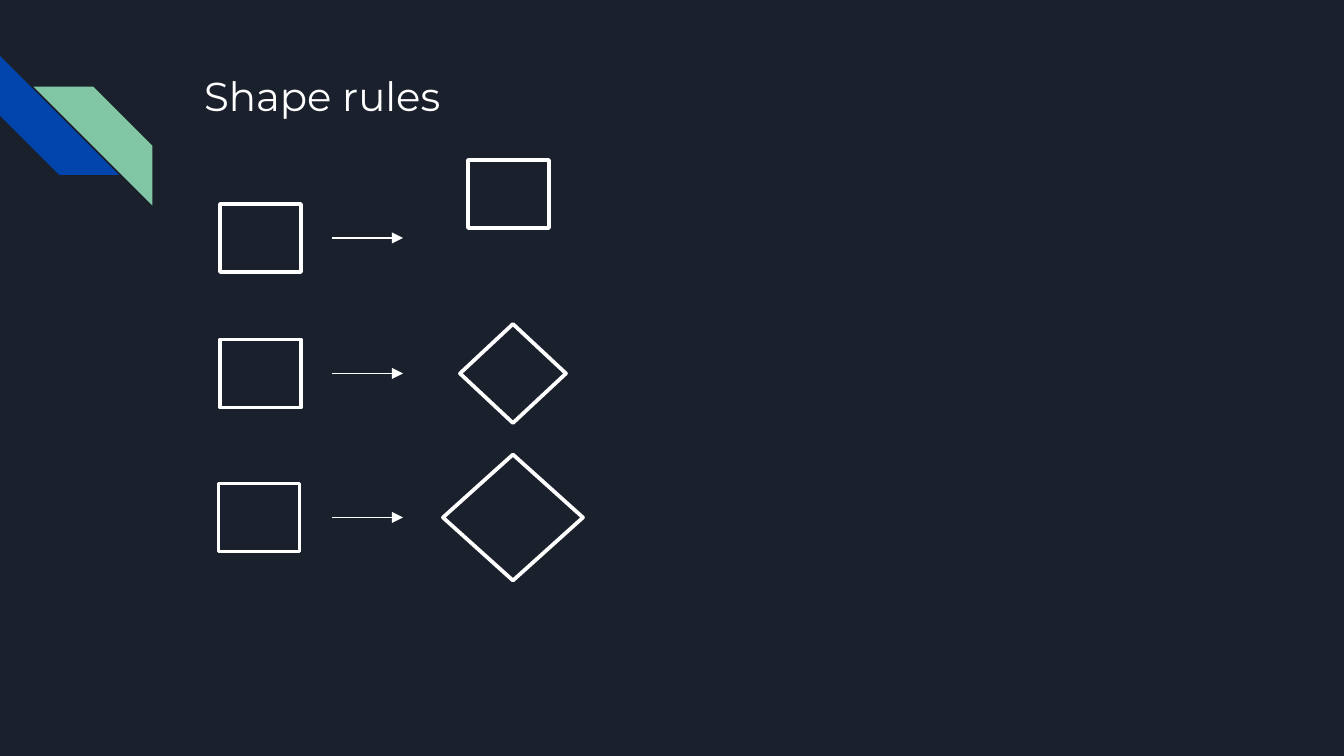
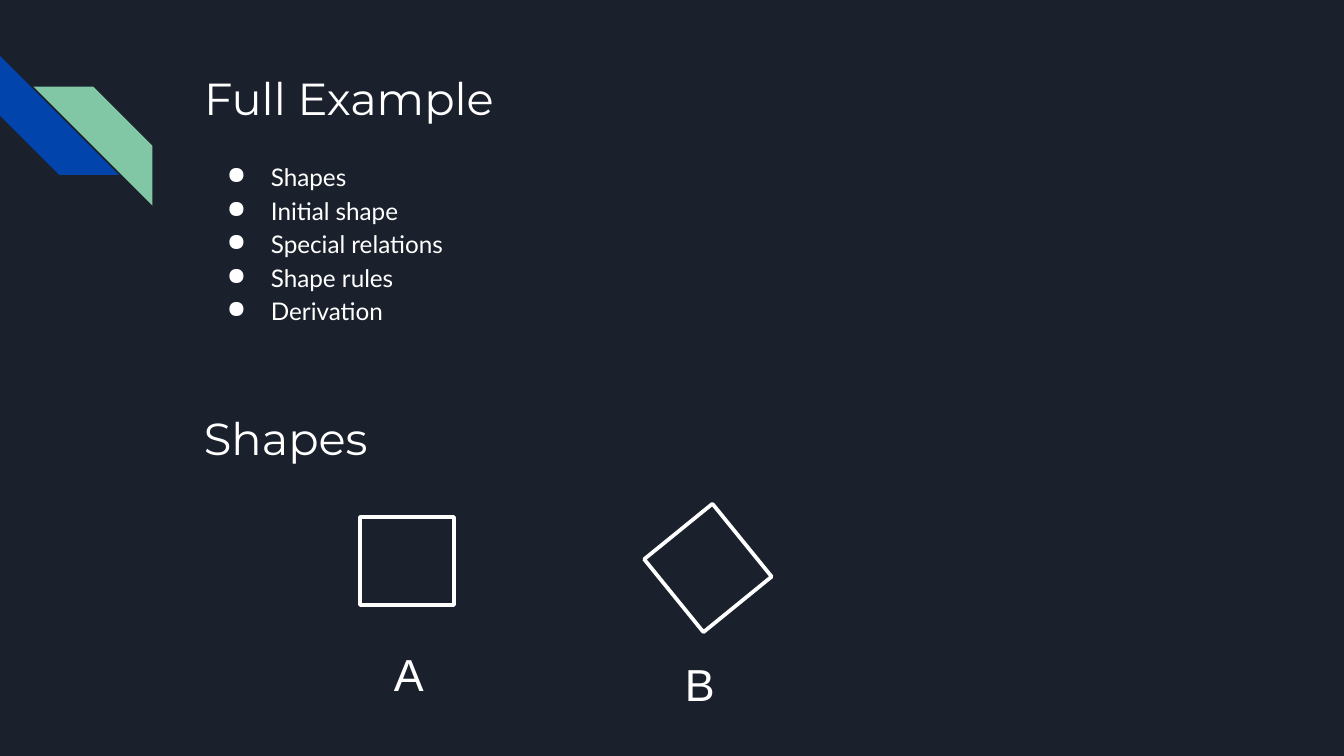
import pptx
import pptx.util
import pptx.dml.color
import pptx.enum.shapes
import pptx.enum.text
import pptx.oxml
import pptx.oxml.ns
from dataclasses import dataclass

SHAPES = pptx.enum.shapes.MSO_SHAPE
TEXT = pptx.enum.text
PIXELS_PER_INCH = 134.4


@dataclass(frozen=True)
class Theme:
    night: str = "1B212C"
    white: str = "FFFFFF"
    blue: str = "0145AC"
    green: str = "82C7A5"
    heading_font: str = "Montserrat"
    body_font: str = "Lato"
    label_font: str = "Arial"
    heading_size: float = 24
    compact_heading_size: float = 21.6
    body_size: float = 13
    label_size: float = 24
    outline: float = 2
    arrow: float = 0.75


THEME = Theme()
COLUMN_LEFT, COLUMN_WIDTH, HEADING_HEIGHT = 191, 1035, 87
SQUARE = (81, 68)
BIG_SQUARE = (94, 88)


def px(pixels):
    return pptx.util.Emu(round(pixels * 914400 / PIXELS_PER_INCH))


def rgb(value):
    return pptx.dml.color.RGBColor.from_string(value)


def append_xml(parent, tag, attributes=""):
    namespace = pptx.oxml.ns.nsdecls("a")
    parent.append(pptx.oxml.parse_xml(f"<a:{tag} {namespace} {attributes}/>"))


def place(shape, left, top, width, height):
    shape.left, shape.top = px(left), px(top)
    shape.width, shape.height = px(width), px(height)


def set_text(shape, text, font, size, inset=13):
    frame = shape.text_frame
    frame.text = text
    frame.word_wrap = True
    frame.auto_size = TEXT.MSO_AUTO_SIZE.NONE
    frame.vertical_anchor = TEXT.MSO_ANCHOR.TOP
    frame.margin_left = frame.margin_right = px(13)
    frame.margin_top = frame.margin_bottom = px(inset)
    for paragraph in frame.paragraphs:
        paragraph.alignment = TEXT.PP_ALIGN.LEFT
        for run in paragraph.runs:
            run.font.name = font
            run.font.size = pptx.util.Pt(size)
            run.font.color.rgb = rgb(THEME.white)
    return frame


def add_text(slide, box, text, font, size, inset=13):
    return set_text(slide.shapes.add_textbox(*map(px, box)), text, font, size, inset)


def add_stripe(slide, left, top, color, rotation):
    stripe = slide.shapes.add_shape(SHAPES.DIAGONAL_STRIPE, *map(px, (left, top, 119, 119)))
    stripe.adjustments[0] = 0.5
    stripe.rotation = rotation
    stripe.shadow.inherit = False
    stripe.fill.solid()
    stripe.fill.fore_color.rgb = rgb(color)
    stripe.line.fill.background()


def add_titled_slide(deck, title, size, height):
    slide = deck.slides.add_slide(deck.slide_layouts.get_by_name("Title Only"))
    add_stripe(slide, 0, 56, THEME.blue, 270)
    add_stripe(slide, 33.5, 86.5, THEME.green, 90)
    place(slide.shapes.title, COLUMN_LEFT, 58, COLUMN_WIDTH, height)
    set_text(slide.shapes.title, title, THEME.heading_font, size)
    return slide


def add_outline(slide, kind, center, size, rotation=0):
    (x, y), (width, height) = center, size
    figure = slide.shapes.add_shape(
        kind, px(x - width / 2), px(y - height / 2), px(width), px(height))
    figure.rotation = rotation
    figure.shadow.inherit = False
    figure.fill.background()
    figure.line.color.rgb = rgb(THEME.white)
    figure.line.width = pptx.util.Pt(THEME.outline)
    append_xml(figure.line._get_or_add_ln(), "round")


def add_arrow(slide, start, end, y):
    arrow = slide.shapes.add_connector(
        pptx.enum.shapes.MSO_CONNECTOR.STRAIGHT, px(start), px(y), px(end), px(y))
    arrow.line.color.rgb = rgb(THEME.white)
    arrow.line.width = pptx.util.Pt(THEME.arrow)
    append_xml(arrow.line._get_or_add_ln(), "tailEnd", 'type="triangle"')
    append_xml(arrow._element.spPr, "effectLst")


def add_bullets(slide, box, items):
    frame = add_text(slide, box, "\n".join(items), THEME.body_font, THEME.body_size)
    for paragraph in frame.paragraphs:
        paragraph.line_spacing = 1.15
        properties = paragraph._p.get_or_add_pPr()
        properties.set("marL", str(px(67)))
        properties.set("indent", str(px(-44)))
        append_xml(properties, "buChar", 'char="●"')


def add_label(slide, box, text):
    frame = add_text(slide, box, text, THEME.label_font, THEME.label_size, 7)
    frame.auto_size = TEXT.MSO_AUTO_SIZE.SHAPE_TO_FIT_TEXT


def build_shape_rules(deck):
    slide = add_titled_slide(deck, "Shape rules", THEME.compact_heading_size, 78)
    rules = [
        (260.5, 238, SHAPES.RECTANGLE, (508.5, 194), SQUARE),
        (260.5, 373.5, SHAPES.DIAMOND, (513, 373.5), (106, 99)),
        (259, 517.5, SHAPES.DIAMOND, (513, 517.5), (140, 126)),
    ]
    for source_x, y, result, result_center, result_size in rules:
        add_outline(slide, SHAPES.RECTANGLE, (source_x, y), SQUARE)
        add_arrow(slide, 332, 403, y)
        add_outline(slide, result, result_center, result_size)


def build_full_example(deck):
    slide = add_titled_slide(deck, "Full Example", THEME.heading_size, HEADING_HEIGHT)
    add_bullets(slide, (COLUMN_LEFT, 145, COLUMN_WIDTH, 220), [
        "Shapes", "Initial shape", "Special relations", "Shape rules", "Derivation"])
    add_text(slide, (COLUMN_LEFT, 398, COLUMN_WIDTH, HEADING_HEIGHT),
             "Shapes", THEME.heading_font, THEME.heading_size)
    add_outline(slide, SHAPES.RECTANGLE, (407, 561), BIG_SQUARE)
    add_label(slide, (381, 640, 35, 67), "A")
    add_label(slide, (672, 650, 672, 67), "B")
    add_outline(slide, SHAPES.RECTANGLE, (708, 568), BIG_SQUARE, 50.9)


def main():
    deck = pptx.Presentation()
    deck.slide_width, deck.slide_height = px(1344), px(756)
    background = deck.slide_master.background.fill
    background.solid()
    background.fore_color.rgb = rgb(THEME.night)
    build_shape_rules(deck)
    build_full_example(deck)
    deck.save("out.pptx")


main()
